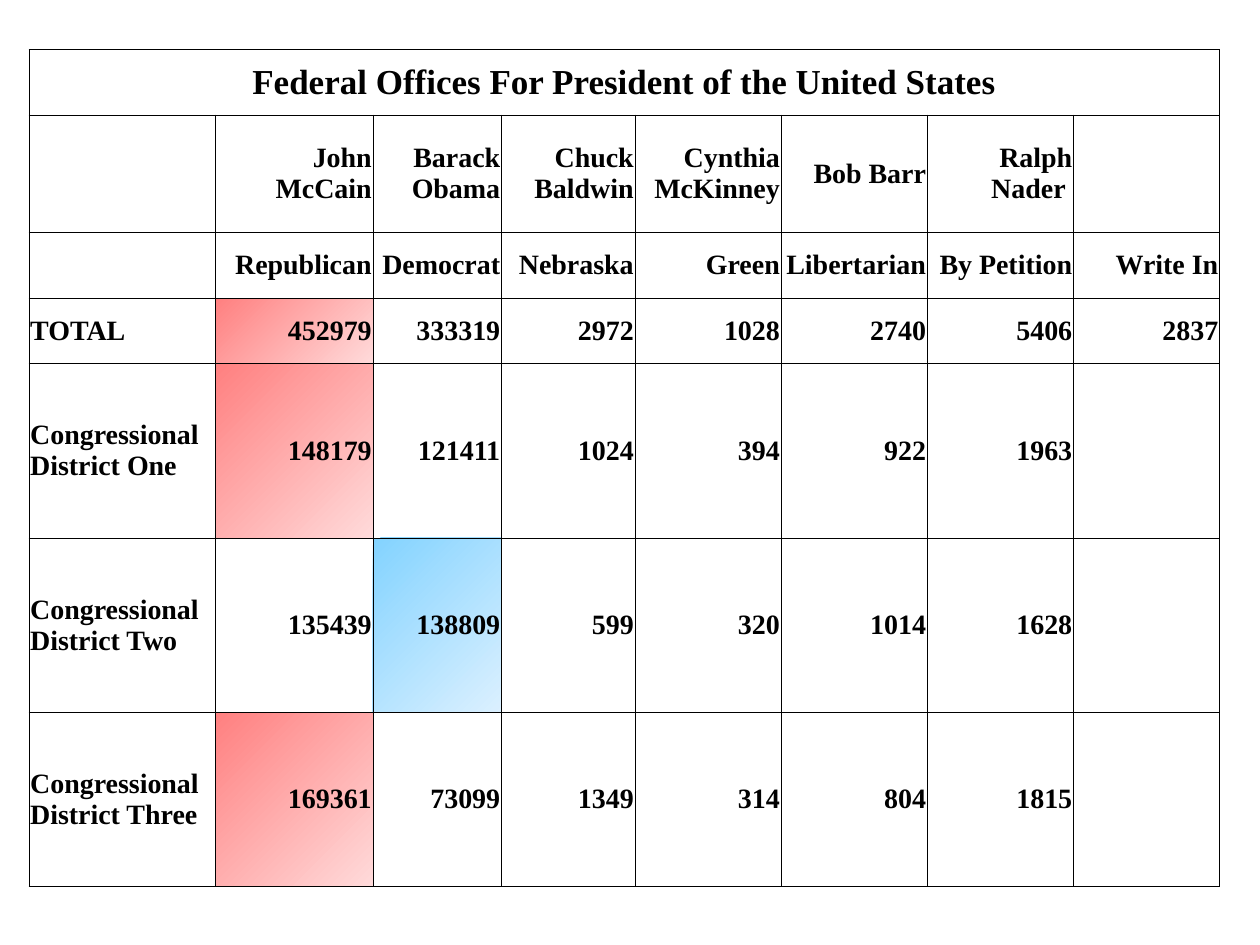
from dataclasses import dataclass

from lxml.etree import SubElement
from pptx import Presentation
from pptx.dml.color import RGBColor
from pptx.enum.text import MSO_ANCHOR, PP_ALIGN
from pptx.oxml.ns import qn
from pptx.slide import Slide
from pptx.util import Inches, Pt

BLACK = RGBColor(0x00, 0x00, 0x00)
RED = RGBColor(0xFF, 0x80, 0x80)
PALE_RED = RGBColor(0xFF, 0xDA, 0xDA)
BLUE = RGBColor(0x83, 0xD3, 0xFF)
PALE_BLUE = RGBColor(0xDB, 0xF0, 0xFF)

TITLE = "Federal Offices For President of the United States"
CANDIDATES = ["", "John McCain", "Barack Obama", "Chuck Baldwin",
              "Cynthia McKinney", "Bob Barr", "Ralph Nader ", ""]
PARTIES = ["", "Republican", "Democrat", "Nebraska", "Green",
           "Libertarian", "By Petition", "Write In"]
VOTES = {
    "TOTAL": [452979, 333319, 2972, 1028, 2740, 5406, 2837],
    "Congressional District One": [148179, 121411, 1024, 394, 922, 1963],
    "Congressional District Two": [135439, 138809, 599, 320, 1014, 1628],
    "Congressional District Three": [169361, 73099, 1349, 314, 804, 1815],
}
WINNER_COLORS = {1: (RED, PALE_RED), 2: (BLUE, PALE_BLUE)}
COLUMN_PERCENTS = [14.8, 12.5, 10.2, 10.6] + [11.6] * 4
ROW_PERCENTS = [6.93, 12.45, 6.93, 6.93] + [18.45] * 3


@dataclass
class ResultsSlide:
    """Hold the style and draw on one slide, with lengths in percent of its size."""

    slide: Slide
    width: int
    height: int
    font_name: str = "Times New Roman"
    font_size: float = 16
    border_width: float = 0.45

    def across(self, percent):
        return round(self.width * percent / 100)

    def down(self, percent):
        return round(self.height * percent / 100)

    def add_table(self, left, top, columns, rows):
        shape = self.slide.shapes.add_table(
            len(rows), len(columns), self.across(left), self.down(top),
            self.across(sum(columns)), self.down(sum(rows)))
        table = shape.table
        table.first_row = table.horz_banding = False
        for column, percent in zip(table.columns, columns):
            column.width = self.across(percent)
        for row, percent in zip(table.rows, rows):
            row.height = self.down(percent)
        for cell in table.iter_cells():
            self.style_cell(cell)
        return table

    def style_cell(self, cell):
        cell.margin_left = cell.margin_right = Inches(0.01)
        cell.margin_top = cell.margin_bottom = Inches(0.05)
        cell.vertical_anchor = MSO_ANCHOR.MIDDLE
        properties = cell._tc.get_or_add_tcPr()
        for side in ("a:lnL", "a:lnR", "a:lnT", "a:lnB"):
            line = SubElement(properties, qn(side), w=str(Pt(self.border_width)))
            fill = SubElement(line, qn("a:solidFill"))
            SubElement(fill, qn("a:srgbClr"), val=str(BLACK))
        cell.fill.background()

    def write_cell(self, cell, text, alignment, size=None):
        paragraph = cell.text_frame.paragraphs[0]
        paragraph.alignment = alignment
        run = paragraph.add_run()
        run.text = text
        run.font.name = self.font_name
        run.font.size = Pt(size or self.font_size)
        run.font.bold = True
        run.font.color.rgb = BLACK

    def write_row(self, table, row, values):
        for column, value in enumerate(values):
            if value != "":
                alignment = PP_ALIGN.RIGHT if column else PP_ALIGN.LEFT
                self.write_cell(table.cell(row, column), str(value), alignment)

    def shade_cell(self, cell, colors):
        cell.fill.gradient()
        cell.fill.gradient_angle = 315
        for stop, color in zip(cell.fill.gradient_stops, colors):
            stop.color.rgb = color


def main():
    presentation = Presentation()
    presentation.slide_width = Inches(10)
    presentation.slide_height = Inches(7.5)
    slide = presentation.slides.add_slide(presentation.slide_layouts[6])
    results = ResultsSlide(slide, presentation.slide_width, presentation.slide_height)

    table = results.add_table(2.3, 5.25, COLUMN_PERCENTS, ROW_PERCENTS)
    title_cell = table.cell(0, 0)
    title_cell.merge(table.cell(0, len(COLUMN_PERCENTS) - 1))
    results.write_cell(title_cell, TITLE, PP_ALIGN.CENTER, size=20)
    results.write_row(table, 1, CANDIDATES)
    results.write_row(table, 2, PARTIES)
    for row, (district, votes) in enumerate(VOTES.items(), start=3):
        results.write_row(table, row, [district, *votes])
        winner = votes.index(max(votes)) + 1
        results.shade_cell(table.cell(row, winner), WINNER_COLORS[winner])

    presentation.save("out.pptx")


if __name__ == "__main__":
    main()
